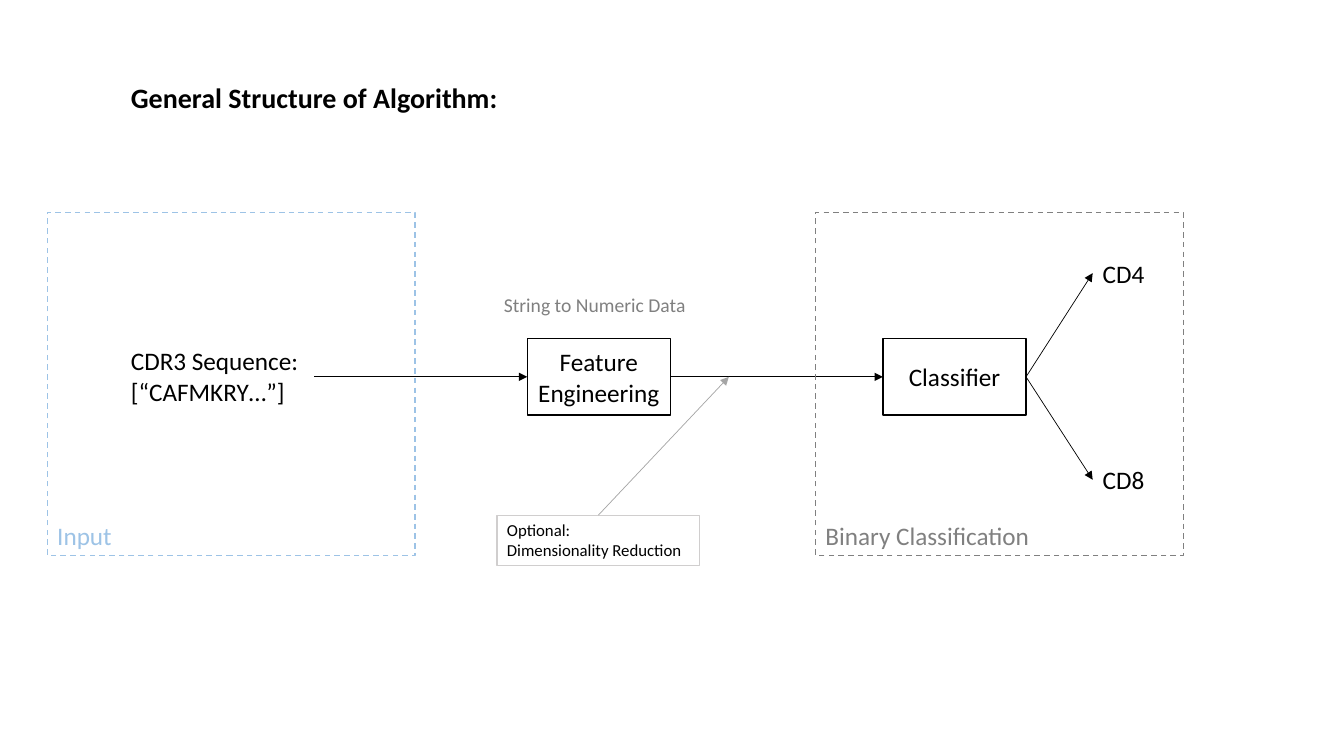
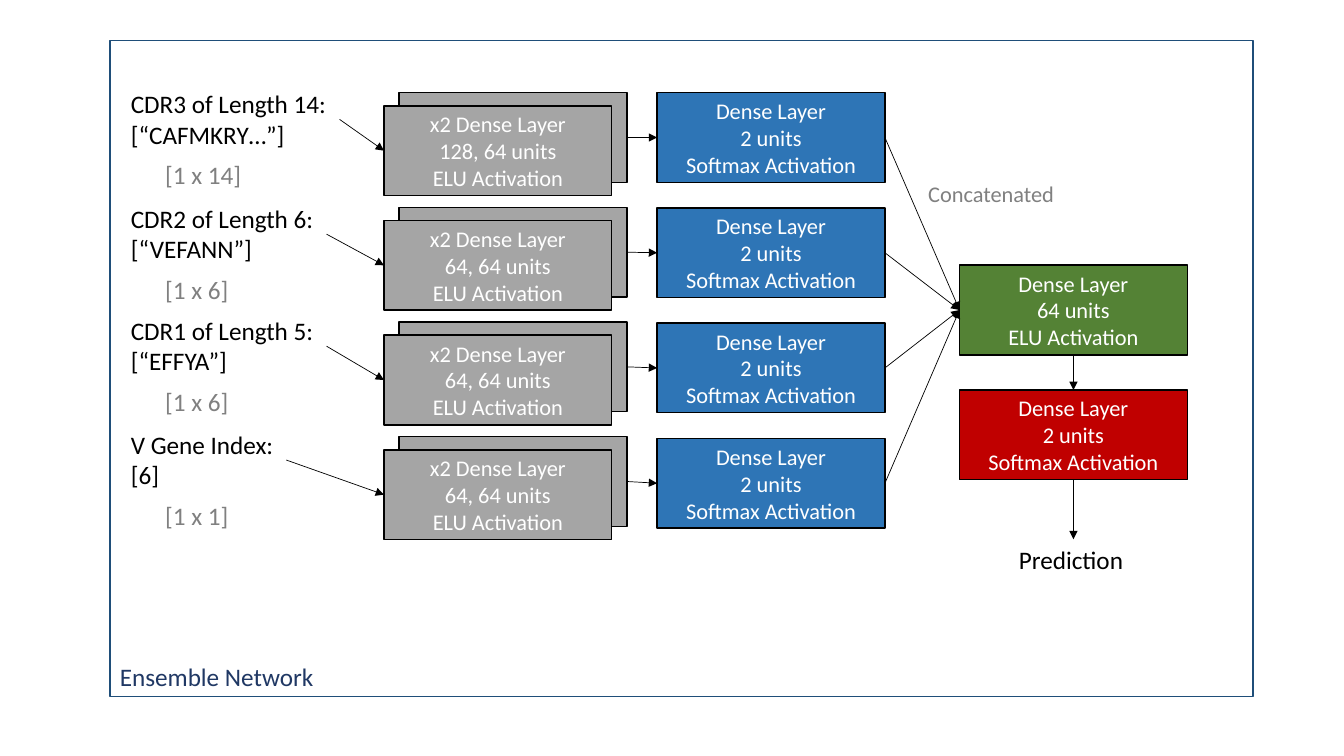
from pptx import Presentation
from pptx.dml.color import RGBColor
from pptx.enum.dml import MSO_LINE
from pptx.enum.shapes import MSO_CONNECTOR, MSO_SHAPE
from pptx.enum.text import MSO_ANCHOR, PP_ALIGN
from pptx.oxml.ns import qn
from pptx.util import Pt
from lxml import etree

RECT, STRAIGHT, DASH = MSO_SHAPE.RECTANGLE, MSO_CONNECTOR.STRAIGHT, MSO_LINE.DASH
TOP, MIDDLE, BOTTOM = MSO_ANCHOR.TOP, MSO_ANCHOR.MIDDLE, MSO_ANCHOR.BOTTOM
LEFT, CENTER = PP_ALIGN.LEFT, PP_ALIGN.CENTER
COLORS = {
    "black": "000000", "white": "FFFFFF", "gray": "808080", "silver": "A5A5A5",
    "pale": "D0CECE", "sky": "9DC3E6", "blue": "2E75B6", "green": "548235",
    "red": "C00000", "frame": "1F4E79", "navy": "203864",
}
RGB = {name: RGBColor.from_string(value) for name, value in COLORS.items()}
NODE = {"line": "black", "anchor": MIDDLE, "align": CENTER}
LAYER = {**NODE, "color": "white", "size": 16}


def box(s, at, text="", size=18, color="black", bold=False, fill=None, line=None,
        width=1, dash=None, anchor=TOP, align=LEFT, wrap=True):
    at = [Pt(v) for v in at]
    if line:
        sp = s.shapes.add_shape(RECT, *at)
        sp.shadow.inherit = False
        sp.line.color.rgb = RGB[line]
        sp.line.width = Pt(width)
        if dash:
            sp.line.dash_style = dash
        if fill:
            sp.fill.solid()
            sp.fill.fore_color.rgb = RGB[fill]
        else:
            sp.fill.background()
    else:
        sp = s.shapes.add_textbox(*at)
    tf = sp.text_frame
    tf.text = text
    tf.word_wrap = wrap
    tf.vertical_anchor = anchor
    for p in tf.paragraphs:
        p.alignment = align
        for r in p.runs:
            for key, value in {"name": "Calibri", "size": Pt(size), "bold": bold}.items():
                setattr(r.font, key, value)
            r.font.color.rgb = RGB[color]


def arrow(s, x1, y1, x2, y2, color="black"):
    sp = s.shapes.add_connector(STRAIGHT, Pt(x1), Pt(y1), Pt(x2), Pt(y2))
    sp.line.color.rgb = RGB[color]
    sp.line.width = Pt(0.5)
    etree.SubElement(sp.line._get_or_add_ln(), qn("a:tailEnd"), type="triangle")
    etree.SubElement(sp._element.spPr, qn("a:effectLst"))


prs = Presentation()
prs.slide_width, prs.slide_height = Pt(960), Pt(540)
blank = prs.slide_layouts[6]

s = prs.slides.add_slide(blank)
box(s, (86.4, 54, 279.4, 31.7), "General Structure of Algorithm:", size=20, bold=True)
box(s, (86.4, 243.4, 137.5, 51), "CDR3 Sequence:\n[“CAFMKRY…”]", wrap=False)

node_w, node_h, mid_y = 102.2, 54.7, 269.2
feature_x, classifier_x = 376.6, 630.7
for x, text in ((feature_x, "Feature Engineering"), (classifier_x, "Classifier")):
    box(s, (x, mid_y - node_h / 2, node_w, node_h), text, **NODE)
arrow(s, 224.6, mid_y, feature_x, mid_y)
arrow(s, feature_x + node_w, mid_y, classifier_x, mid_y)

class_x, class_h = 780.5, 28.8
for y, text in ((180.7, "CD4"), (328.3, "CD8")):
    box(s, (class_x, y, 78.5, class_h), text)
    arrow(s, classifier_x + node_w, mid_y, class_x, y + class_h / 2)

for x, text, color in ((582.5, "Binary Classification", "gray"), (33.8, "Input", "sky")):
    box(s, (x, 151.9, 262.8, 244.8), text, color=color, line=color, dash=DASH, anchor=BOTTOM)
box(s, (352.8, 205.9, 149.8, 24.5), "String to Numeric Data", size=14, color="gray")
box(s, (355, 367.9, 144.7, 36.3), "Optional:\nDimensionality Reduction",
    size=12, line="pale", width=0.75)
arrow(s, 427.5, 367.9, 520.6, mid_y, "silver")

s = prs.slides.add_slide(blank)
box(s, (78.5, 28.8, 816.5, 468.7), "Ensemble Network", color="navy", line="frame", anchor=BOTTOM)

layer_w, layer_h = 162.7, 64.1
back_x, front_x, front_dy = 285.1, 274.3, 9.4
softmax_x, merge_x, merge_y, output_y = 469.4, 685.4, 189.4, 278.6
first_y, stack_pitch, softmax_pitch = 66.2, 81.9, 82.3
softmax = "Dense Layer\n2 units\nSoftmax Activation"
inputs = (
    (59.8, 156.2, "CDR3 of Length 14:\n[“CAFMKRY…”]", "[1 x 14]", "128, 64 units"),
    (141.8, 146.9, "CDR2 of Length 6:\n[“VEFANN”]", "[1 x 6]", "64, 64 units"),
    (221.8, 146.9, "CDR1 of Length 5:\n[“EFFYA”]", "[1 x 6]", "64, 64 units"),
    (303.1, 118.1, "V Gene Index:\n[6]", "[1 x 1]", "64, 64 units"),
)
box(s, (merge_x, merge_y, layer_w, layer_h), "Dense Layer\n64 units\nELU Activation",
    fill="green", **LAYER)
box(s, (merge_x, output_y, layer_w, layer_h), softmax, fill="red", **LAYER)
for i, (y, w, text, shape, units) in enumerate(inputs):
    stack_y = first_y + i * stack_pitch
    softmax_y = first_y + i * softmax_pitch
    front_y = stack_y + front_dy
    softmax_mid = softmax_y + layer_h / 2
    box(s, (86.4, y, w, 51), text, wrap=False)
    box(s, (110.9, y + 50.6, 95, 28.8), shape, color="gray")
    box(s, (back_x, stack_y, layer_w, layer_h), fill="silver", **LAYER)
    box(s, (front_x, front_y, layer_w, layer_h),
        f"x2 Dense Layer\n{units}\nELU Activation", fill="silver", **LAYER)
    box(s, (softmax_x, softmax_y, layer_w, layer_h), softmax, fill="blue", **LAYER)
    arrow(s, 86.4 + w, y + 25.5, front_x, front_y + layer_h / 2)
    arrow(s, back_x + layer_w, stack_y + layer_h / 2, softmax_x, softmax_mid)
    arrow(s, softmax_x + layer_w, softmax_mid, merge_x, merge_y + layer_h / 2)

box(s, (655.9, 125.3, 118.1, 26.6), "Concatenated", size=16, color="gray")
prediction_y, merge_mid = 385.2, merge_x + layer_w / 2
box(s, (720.7, prediction_y, 91.4, 28.8), "Prediction")
arrow(s, merge_mid, merge_y + layer_h, merge_mid, output_y)
arrow(s, merge_mid, output_y + layer_h, merge_mid, prediction_y)

prs.save("out.pptx")
